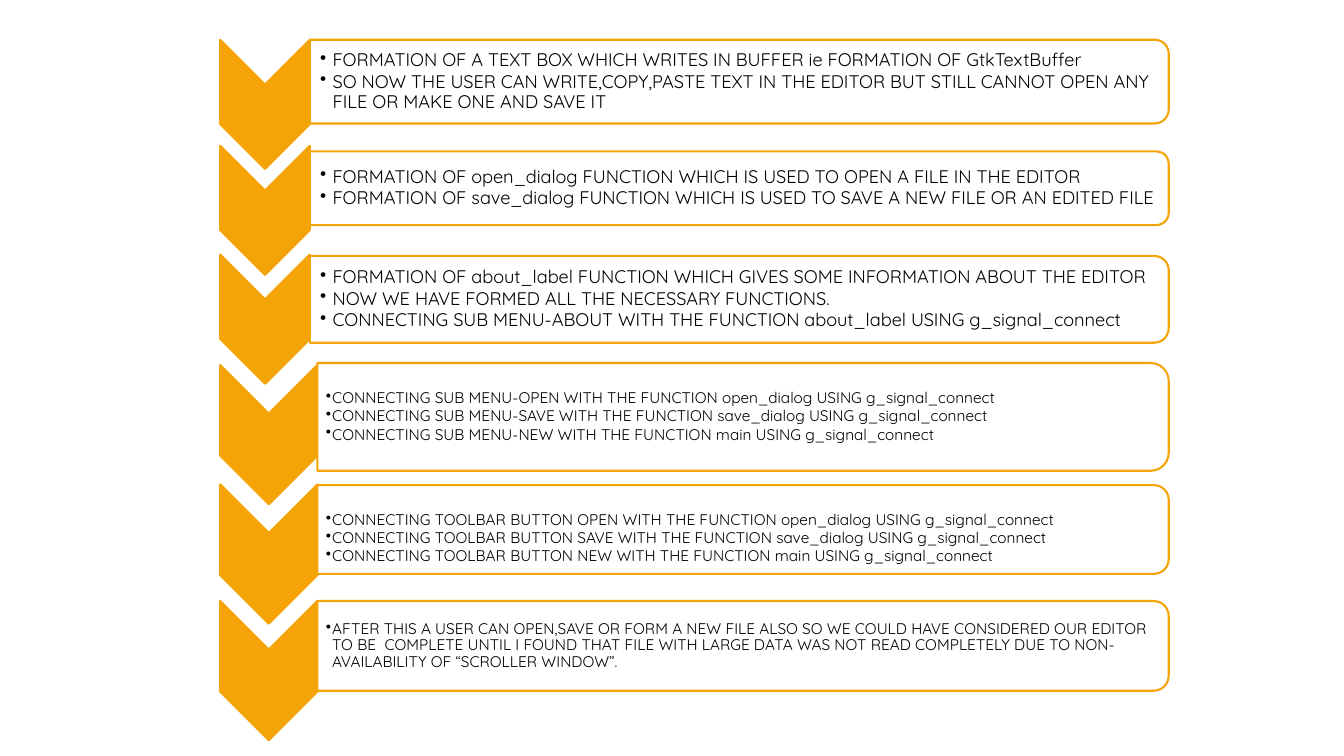
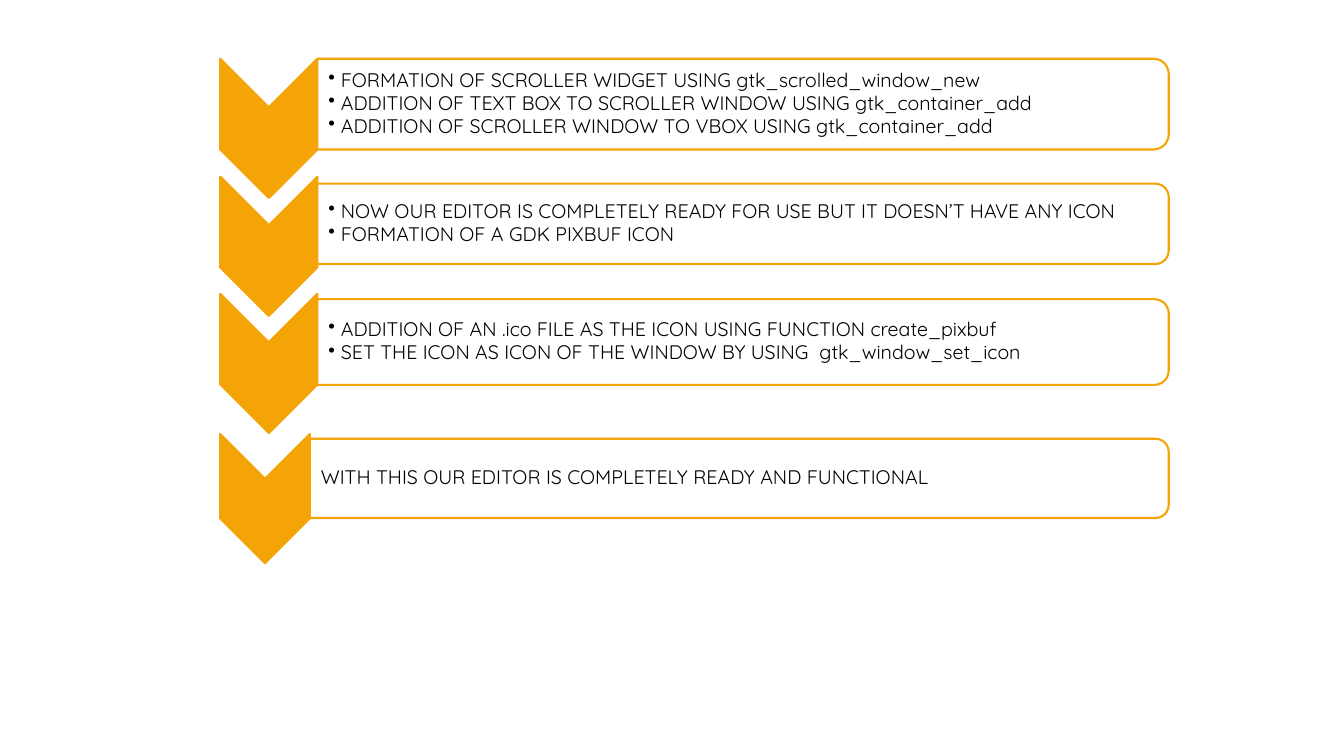
"""Build two slides of chevron process lists about a text editor."""
import pptx
import pptx.dml.color
import pptx.enum.shapes
import pptx.enum.text
import pptx.util
from lxml import etree
import pptx.oxml.ns

Pt = pptx.util.Pt
SHAPE = pptx.enum.shapes.MSO_SHAPE
ORANGE = pptx.dml.color.RGBColor(0xF5, 0xA4, 0x08)
WHITE = pptx.dml.color.RGBColor(0xFF, 0xFF, 0xFF)
BLACK = pptx.dml.color.RGBColor(0x00, 0x00, 0x00)
FONT = "Quicksand"
LEFT, RIGHT = 157.3, 834.8
PAD = 2.9


def add_turned(s, kind, x, y, w, h, fill):
    """Add a shape turned 90 degrees that fills the frame x, y, w, h."""
    sp = s.shapes.add_shape(kind, Pt(x + (w - h) / 2), Pt(y + (h - w) / 2), Pt(h), Pt(w))
    sp.rotation = 90
    sp.shadow.inherit = False
    sp.fill.solid()
    sp.fill.fore_color.rgb = fill
    sp.line.color.rgb = ORANGE
    sp.line.width = Pt(1.5)


def add_text(s, lines, x, y, w, h, size=13, indent=9, top=0.7):
    """Add a text box with one paragraph per line, bulleted if indented."""
    tf = s.shapes.add_textbox(Pt(x), Pt(y), Pt(w), Pt(h)).text_frame
    tf.word_wrap = True
    tf.vertical_anchor = pptx.enum.text.MSO_ANCHOR.MIDDLE
    tf.margin_left = Pt(0.56 * size)
    tf.margin_top = Pt(top)
    tf.margin_right = tf.margin_bottom = Pt(0.7)
    for i, line in enumerate(lines):
        p = tf.add_paragraph() if i else tf.paragraphs[0]
        p.line_spacing = 0.9
        p.space_after = Pt(0.1 * size)
        r = p.add_run()
        r.text = line
        r.font.name = FONT
        r.font.size = Pt(size)
        r.font.color.rgb = BLACK
        if indent:
            pPr = p._p.get_or_add_pPr()
            pPr.set("marL", str(Pt(indent)))
            pPr.set("indent", str(-Pt(indent)))
            etree.SubElement(pPr, pptx.oxml.ns.qn("a:buChar")).set("char", "•")


NARROW, WIDE = (64, 92.2), (69.4, 99.4)
SMALL = {"size": 11, "indent": 4.5}
LARGE = {"size": 14}

SLIDES = [
    [
        (NARROW, 28.4, 28.4, 59.8, {}, [
            "FORMATION OF A TEXT BOX WHICH WRITES IN BUFFER ie FORMATION OF GtkTextBuffer",
            "SO NOW THE USER CAN WRITE,COPY,PASTE TEXT IN THE EDITOR BUT STILL CANNOT "
            "OPEN ANY FILE OR MAKE ONE AND SAVE IT"]),
        (NARROW, 104.2, 108.2, 52.6, {}, [
            "FORMATION OF open_dialog FUNCTION WHICH IS USED TO OPEN A FILE IN THE EDITOR",
            "FORMATION OF save_dialog FUNCTION WHICH IS USED TO SAVE A NEW FILE OR AN EDITED FILE"]),
        (NARROW, 181.9, 182.8, 62, {}, [
            "FORMATION OF about_label FUNCTION WHICH GIVES SOME INFORMATION ABOUT THE EDITOR",
            "NOW WE HAVE FORMED ALL THE NECESSARY FUNCTIONS.",
            "CONNECTING SUB MENU-ABOUT WITH THE FUNCTION about_label USING g_signal_connect"]),
        (WIDE, 260.8, 259.3, 77, SMALL, [
            "CONNECTING SUB MENU-OPEN WITH THE FUNCTION open_dialog USING g_signal_connect",
            "CONNECTING SUB MENU-SAVE WITH THE FUNCTION save_dialog USING g_signal_connect",
            "CONNECTING SUB MENU-NEW WITH THE FUNCTION main USING g_signal_connect"]),
        (WIDE, 346, 346.5, 63.4, {**SMALL, "top": 14}, [
            "CONNECTING TOOLBAR BUTTON OPEN WITH THE FUNCTION open_dialog USING g_signal_connect",
            "CONNECTING TOOLBAR BUTTON SAVE WITH THE FUNCTION save_dialog USING g_signal_connect",
            "CONNECTING TOOLBAR BUTTON NEW WITH THE FUNCTION main USING g_signal_connect"]),
        (WIDE, 429.3, 429.3, 64.1, SMALL, [
            "AFTER THIS A USER CAN OPEN,SAVE OR FORM A NEW FILE ALSO SO WE COULD HAVE CONSIDERED "
            "OUR EDITOR TO BE  COMPLETE UNTIL I FOUND THAT FILE WITH LARGE DATA WAS NOT READ "
            "COMPLETELY DUE TO NON-AVAILABILITY OF “SCROLLER WINDOW”."]),
    ],
    [
        (WIDE, 42, 42, 64.8, LARGE, [
            "FORMATION OF SCROLLER WIDGET USING gtk_scrolled_window_new",
            "ADDITION OF TEXT BOX TO SCROLLER WINDOW USING gtk_container_add",
            "ADDITION OF SCROLLER WINDOW TO VBOX USING gtk_container_add"]),
        (WIDE, 126.2, 131.2, 57.4, LARGE, [
            "NOW OUR EDITOR IS COMPLETELY READY FOR USE BUT IT DOESN’T HAVE ANY ICON",
            "FORMATION OF A GDK PIXBUF ICON"]),
        (WIDE, 209.9, 213.7, 61.2, LARGE, [
            "ADDITION OF AN .ico FILE AS THE ICON USING FUNCTION create_pixbuf",
            "SET THE ICON AS ICON OF THE WINDOW BY USING  gtk_window_set_icon"]),
        (NARROW, 310, 313.4, 56.6, {**LARGE, "indent": 0}, [
            "WITH THIS OUR EDITOR IS COMPLETELY READY AND FUNCTIONAL"]),
    ],
]

prs = pptx.Presentation()
prs.slide_width, prs.slide_height = Pt(960), Pt(540)

for steps in SLIDES:
    s = prs.slides.add_slide(prs.slide_layouts[6])
    for (w, h), chevron_y, panel_y, panel_h, style, lines in steps:
        x = LEFT + w
        panel_w = RIGHT - x
        add_turned(s, SHAPE.CHEVRON, LEFT, chevron_y, w, h, ORANGE)
        add_turned(s, SHAPE.ROUND_2_SAME_RECTANGLE, x, panel_y, panel_w, panel_h, WHITE)
        add_text(s, lines, x, panel_y + PAD, panel_w - PAD, panel_h - 2 * PAD, **style)

prs.save("out.pptx")
